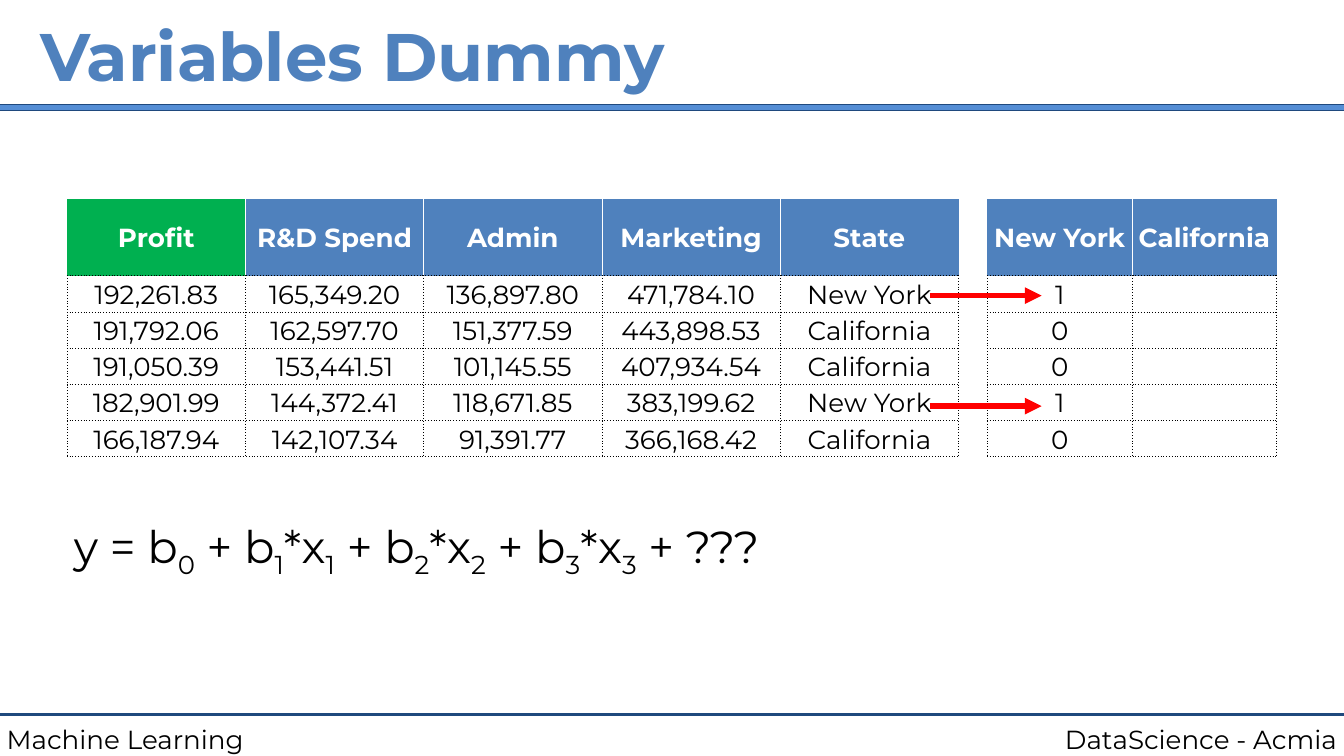
from dataclasses import dataclass

from lxml.etree import SubElement
from pptx import Presentation
from pptx.dml.color import RGBColor
from pptx.enum.shapes import MSO_CONNECTOR, MSO_SHAPE
from pptx.enum.text import MSO_ANCHOR, MSO_AUTO_SIZE, PP_ALIGN
from pptx.oxml.ns import qn
from pptx.util import Pt


@dataclass(frozen=True)
class Theme:
    font: str = "Montserrat"
    blue: str = "4F81BD"
    bar: str = "558ED5"
    navy: str = "1F497D"
    green: str = "00B050"
    red: str = "FF0000"
    black: str = "000000"
    white: str = "FFFFFF"
    title_size: int = 36
    formula_size: int = 24
    text_size: int = 14
    inset: float = 3.6
    cell_inset: float = 0.7
    border: float = 0.5


HEADERS = ["Profit", "R&D Spend", "Admin", "Marketing", "State", "", "New York", "California"]
ROWS = [
    ["192,261.83", "165,349.20", "136,897.80", "471,784.10", "New York", "", "1", ""],
    ["191,792.06", "162,597.70", "151,377.59", "443,898.53", "California", "", "0", ""],
    ["191,050.39", "153,441.51", "101,145.55", "407,934.54", "California", "", "0", ""],
    ["182,901.99", "144,372.41", "118,671.85", "383,199.62", "New York", "", "1", ""],
    ["166,187.94", "142,107.34", "91,391.77", "366,168.42", "California", "", "0", ""],
]
GAP_COLUMN = HEADERS.index("")
COLUMN_WIDTHS = [95.5] * 5 + [15.5] + [77.5] * 2
HEADER_HEIGHT, ROW_HEIGHT = 41, 19.4
FORMULA = [("y = b", "0"), (" + b", "1"), ("*x", "1"), (" + b", "2"), ("*x", "2"),
           (" + b", "3"), ("*x", "3"), (" + ???", "")]


class SlideBuilder:
    def __init__(self, slide, theme):
        self.slide = slide
        self.theme = theme

    def format_paragraph(self, paragraph, size, color, bold=False, align=PP_ALIGN.LEFT):
        paragraph.alignment = align
        font = paragraph.font
        font.name, font.size, font.bold = self.theme.font, Pt(size), bold
        font.color.rgb = RGBColor.from_string(color)

    def set_insets(self, frame, inset):
        """Set equal margins on a text frame or a table cell."""
        frame.margin_left = frame.margin_right = Pt(inset)
        frame.margin_top = frame.margin_bottom = Pt(inset)

    def title(self, text, left, top, width, height):
        shape = self.slide.shapes.title
        shape.left, shape.top, shape.width, shape.height = map(Pt, (left, top, width, height))
        frame = shape.text_frame
        frame.text = text
        frame.auto_size = MSO_AUTO_SIZE.NONE
        frame.vertical_anchor = MSO_ANCHOR.MIDDLE
        self.set_insets(frame, self.theme.inset)
        self.format_paragraph(frame.paragraphs[0], self.theme.title_size, self.theme.blue, bold=True)

    def text(self, parts, left, top, width, height, size, align=PP_ALIGN.LEFT):
        """Add one paragraph from pairs of plain text and subscript."""
        shape = self.slide.shapes.add_textbox(*map(Pt, (left, top, width, height)))
        frame = shape.text_frame
        frame.word_wrap = True
        frame.auto_size = MSO_AUTO_SIZE.SHAPE_TO_FIT_TEXT
        self.set_insets(frame, self.theme.inset)
        paragraph = frame.paragraphs[0]
        self.format_paragraph(paragraph, size, self.theme.black, align=align)
        for plain, subscript in parts:
            paragraph.add_run().text = plain
            if subscript:
                run = paragraph.add_run()
                run.text = subscript
                run.font._element.set("baseline", "-25000")

    def bar(self, left, top, width, height):
        shape = self.slide.shapes.add_shape(MSO_SHAPE.RECTANGLE, *map(Pt, (left, top, width, height)))
        shape.shadow.inherit = False
        shape.fill.solid()
        shape.fill.fore_color.rgb = RGBColor.from_string(self.theme.bar)
        shape.line.color.rgb = RGBColor.from_string(self.theme.navy)
        shape.line.width = Pt(0.75)

    def horizontal_line(self, start, end, y, color, width, arrow=False):
        connector = self.slide.shapes.add_connector(
            MSO_CONNECTOR.STRAIGHT, Pt(start), Pt(y), Pt(end), Pt(y))
        connector.line.color.rgb = RGBColor.from_string(color)
        connector.line.width = Pt(width)
        if arrow:
            SubElement(connector.line._get_or_add_ln(), qn("a:tailEnd"), type="triangle")
        SubElement(connector._element.spPr, qn("a:effectLst"))

    def cell_borders(self, cell, row, column):
        """White rules divide the headers, dotted ones the body; the gap column stays open."""
        theme = self.theme
        dotted, divider = (theme.black, "sysDot"), (theme.white, "solid")
        is_gap = column == GAP_COLUMN
        outer = None if row == 0 else dotted
        inner = divider if row == 0 else dotted
        borders = {
            "lnL": outer if column in (0, GAP_COLUMN, GAP_COLUMN + 1) else inner,
            "lnR": outer if column in (GAP_COLUMN - 1, GAP_COLUMN, len(HEADERS) - 1) else inner,
            "lnT": None if is_gap or row == 0 else dotted,
            "lnB": None if is_gap else dotted,
        }
        properties = cell._tc.get_or_add_tcPr()
        for index, (side, style) in enumerate(borders.items()):
            line = properties.makeelement(qn(f"a:{side}"), {"w": str(Pt(theme.border))})
            properties.insert(index, line)
            if style is None:
                SubElement(line, qn("a:noFill"))
                continue
            color, dash = style
            SubElement(SubElement(line, qn("a:solidFill")), qn("a:srgbClr"), val=color)
            SubElement(line, qn("a:prstDash"), val=dash)

    def cell(self, cell, text, row, column):
        theme = self.theme
        is_header = row == 0
        self.set_insets(cell, theme.cell_inset)
        cell.vertical_anchor = MSO_ANCHOR.MIDDLE if is_header else MSO_ANCHOR.BOTTOM
        if is_header and text:
            cell.fill.solid()
            cell.fill.fore_color.rgb = RGBColor.from_string(theme.green if column == 0 else theme.blue)
        else:
            cell.fill.background()
        paragraph = cell.text_frame.paragraphs[0]
        self.format_paragraph(paragraph, theme.text_size, theme.white if is_header else theme.black,
                              bold=is_header, align=PP_ALIGN.CENTER)
        if text:
            paragraph.add_run().text = text
        else:
            # An empty cell takes its line height from the end mark.
            SubElement(paragraph._p, qn("a:endParaRPr"), sz=str(theme.text_size * 100))
        self.cell_borders(cell, row, column)

    def table(self, left, top):
        values = [HEADERS, *ROWS]
        heights = [HEADER_HEIGHT] + [ROW_HEIGHT] * len(ROWS)
        table = self.slide.shapes.add_table(
            len(values), len(HEADERS), Pt(left), Pt(top),
            Pt(sum(COLUMN_WIDTHS)), Pt(sum(heights))).table
        table.first_row = table.horz_banding = False
        for column, width in zip(table.columns, COLUMN_WIDTHS):
            column.width = Pt(width)
        for row, height in zip(table.rows, heights):
            row.height = Pt(height)
        for row, texts in enumerate(values):
            for column, text in enumerate(texts):
                self.cell(table.cell(row, column), text, row, column)


def main():
    presentation = Presentation()
    presentation.slide_width, presentation.slide_height = Pt(720), Pt(405)
    theme = Theme()
    slide = presentation.slides.add_slide(presentation.slide_layouts[5])
    builder = SlideBuilder(slide, theme)

    builder.horizontal_line(0, 720, 383, theme.navy, 1.5)
    builder.text([("DataScience - Acmia", "")], 510, 384, 210, 24.5, theme.text_size, PP_ALIGN.RIGHT)
    builder.text([("Machine Learning", "")], 0, 384, 234, 41, theme.text_size)
    builder.bar(-3, 56, 726, 3.4)
    builder.title("Variables Dummy", 18, 0, 684, 58.5)
    builder.table(36, 106.8)
    builder.text(FORMULA, 36, 274.5, 624, 41, theme.formula_size)
    for y in (158.4, 217.6):
        builder.horizontal_line(498, 558, y, theme.red, 3, arrow=True)

    presentation.save("out.pptx")


if __name__ == "__main__":
    main()
